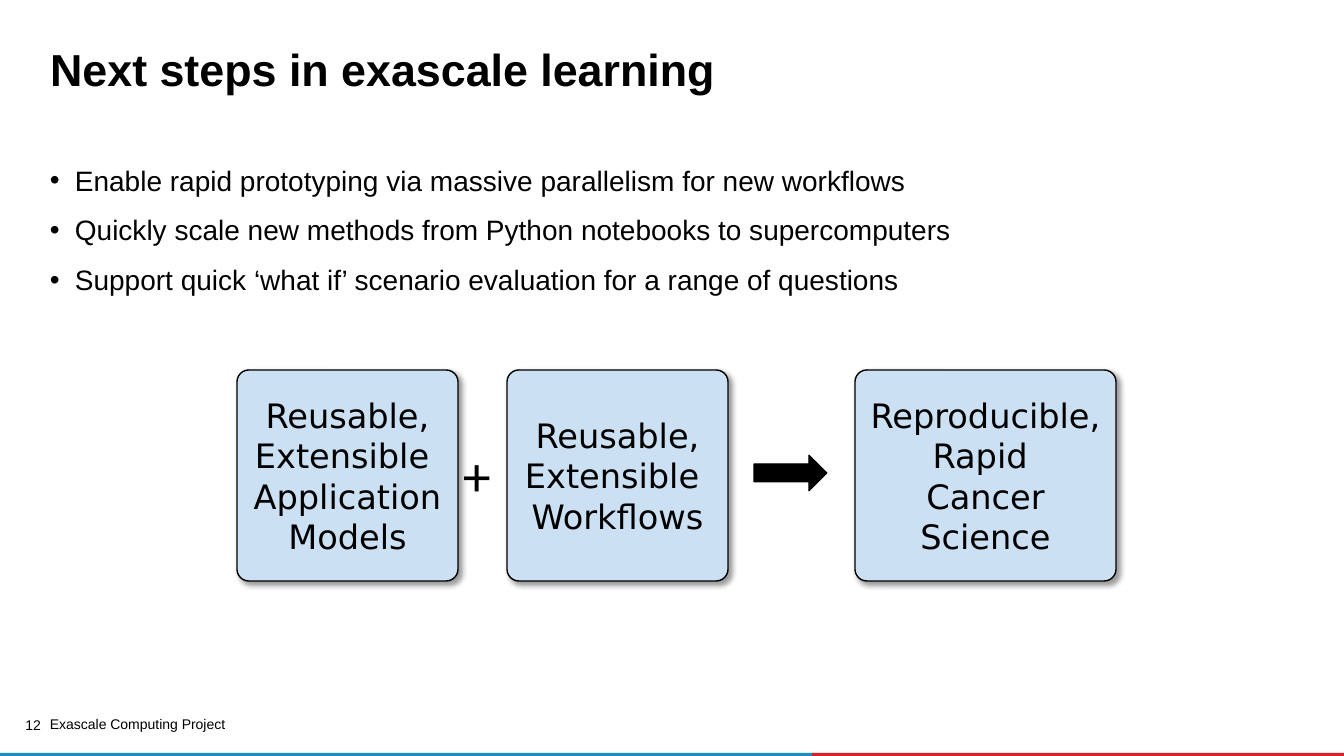
from lxml import etree
from pptx import Presentation
from pptx.dml.color import RGBColor
from pptx.enum.shapes import MSO_SHAPE as SHAPE
from pptx.enum.text import MSO_ANCHOR as ANCHOR, MSO_AUTO_SIZE as AUTO, PP_ALIGN as ALIGN
from pptx.oxml.ns import qn
from pptx.util import Pt

# Content
TITLE = "Next steps in exascale learning"
BULLETS = [
    "Enable rapid prototyping via massive parallelism for new workflows",
    "Quickly scale new methods from Python notebooks to supercomputers",
    "Support quick ‘what if’ scenario evaluation for a range of questions",
]
CARDS = [  # left, width, lines
    (237, 221, ["Reusable,", "Extensible ", "Application Models"]),
    (507, 221, ["Reusable,", "Extensible ", "Workflows"]),
    (855, 261, ["Reproducible,", "Rapid ", "Cancer\vScience"]),
]
PLUS = "+"
PAGE = "12"
FOOTER = "Exascale Computing Project"
COLORS = {"black": "000000", "card": "CBE0F2", "blue": "1B8DC3", "red": "DA1F28"}

# Geometry in px
SLIDE_W, SLIDE_H = 1344, 756
MARGIN = 40
CARD_TOP, CARD_H = 370, 211
BAR_H, BAR_SPLIT = 3, 812
EMU_PER_PX = 914400 / 100.8


def px(n):
    return round(n * EMU_PER_PX)


def box(*at):
    return [px(n) for n in at]


def rgb(name):
    return RGBColor.from_string(COLORS[name])


def add_bullet(p):
    pPr = p._p.get_or_add_pPr()
    pPr.set("marL", str(px(25)))
    pPr.set("indent", str(-px(25)))
    color = etree.SubElement(pPr, qn("a:buClr"))
    etree.SubElement(color, qn("a:srgbClr"), val=COLORS["black"])
    etree.SubElement(pPr, qn("a:buFont"), typeface="Arial")
    etree.SubElement(pPr, qn("a:buChar"), char="•")


def write(sp, lines, size, font="Arial", bold=False, align=ALIGN.LEFT, anchor=ANCHOR.TOP,
          spacing=None, before=0, bullet=False, wrap=True, margin=None):
    tf = sp.text_frame
    tf.word_wrap = wrap
    tf.auto_size = AUTO.NONE
    tf.vertical_anchor = anchor
    if margin is not None:
        tf.margin_left = tf.margin_right = tf.margin_top = tf.margin_bottom = margin
    for i, line in enumerate(lines):
        p = tf.add_paragraph() if i else tf.paragraphs[0]
        p.text = line
        p.alignment = align
        if spacing:
            p.line_spacing = spacing
        if i and before:
            p.space_before = Pt(before)
        if bullet:
            add_bullet(p)
        for r in p.runs:
            r.font.name, r.font.size, r.font.bold = font, Pt(size), bold
            r.font.color.rgb = rgb("black")


def add_shape(kind, at, fill, line=None):
    sp = slide.shapes.add_shape(kind, *box(*at))
    sp.shadow.inherit = False
    sp.fill.solid()
    sp.fill.fore_color.rgb = rgb(fill)
    if line:
        sp.line.color.rgb = rgb("black")
        sp.line.width = Pt(line)
    else:
        sp.line.fill.background()
    return sp


def add_shadow(sp):
    effects = sp._element.spPr.find(qn("a:effectLst"))
    shadow = etree.SubElement(effects, qn("a:outerShdw"), blurRad=str(Pt(4)), dist=str(Pt(3)),
                              dir=str(45 * 60000), algn="tl", rotWithShape="0")
    color = etree.SubElement(shadow, qn("a:srgbClr"), val=COLORS["black"])
    etree.SubElement(color, qn("a:alpha"), val="40000")


def add_text(at, lines, size, **fmt):
    write(slide.shapes.add_textbox(*box(*at)), lines, size, **fmt)


prs = Presentation()
prs.slide_width, prs.slide_height = px(SLIDE_W), px(SLIDE_H)
slide = prs.slides.add_slide(prs.slide_layouts[5])

# Footer
bar_top = SLIDE_H - BAR_H
add_shape(SHAPE.RECTANGLE, (BAR_SPLIT, bar_top, SLIDE_W - BAR_SPLIT, BAR_H), "red")
add_shape(SHAPE.RECTANGLE, (0, bar_top, BAR_SPLIT, BAR_H), "blue")
add_text((18, 718, 23, 17), [PAGE], 10, align=ALIGN.RIGHT, spacing=0.9, margin=0)
add_text((MARGIN, 714, 320, 20), [FOOTER], 10, anchor=ANCHOR.MIDDLE)

# Title and bullets
title = slide.shapes.title
title.left, title.top, title.width, title.height = box(MARGIN, 45, 1254, 56)
write(title, [TITLE], 32, bold=True, spacing=0.85)
add_text((MARGIN, 162, 1253, 447), BULLETS, 20, spacing=0.9, before=14, bullet=True)

# Cards
for left, width, lines in CARDS:
    card = add_shape(SHAPE.ROUNDED_RECTANGLE, (left, CARD_TOP, width, CARD_H), "card", line=1)
    card.adjustments[0] = 0.056
    add_shadow(card)
    write(card, lines, 24, font="DejaVu Sans", align=ALIGN.CENTER, anchor=ANCHOR.MIDDLE)

# Plus sign and arrow
add_text((453, 436, 54, 78), [PLUS], 40, font="Calibri", wrap=False)
add_shape(SHAPE.RIGHT_ARROW, (754, 455, 73, 36), "black", line=0.75)

prs.save("out.pptx")
